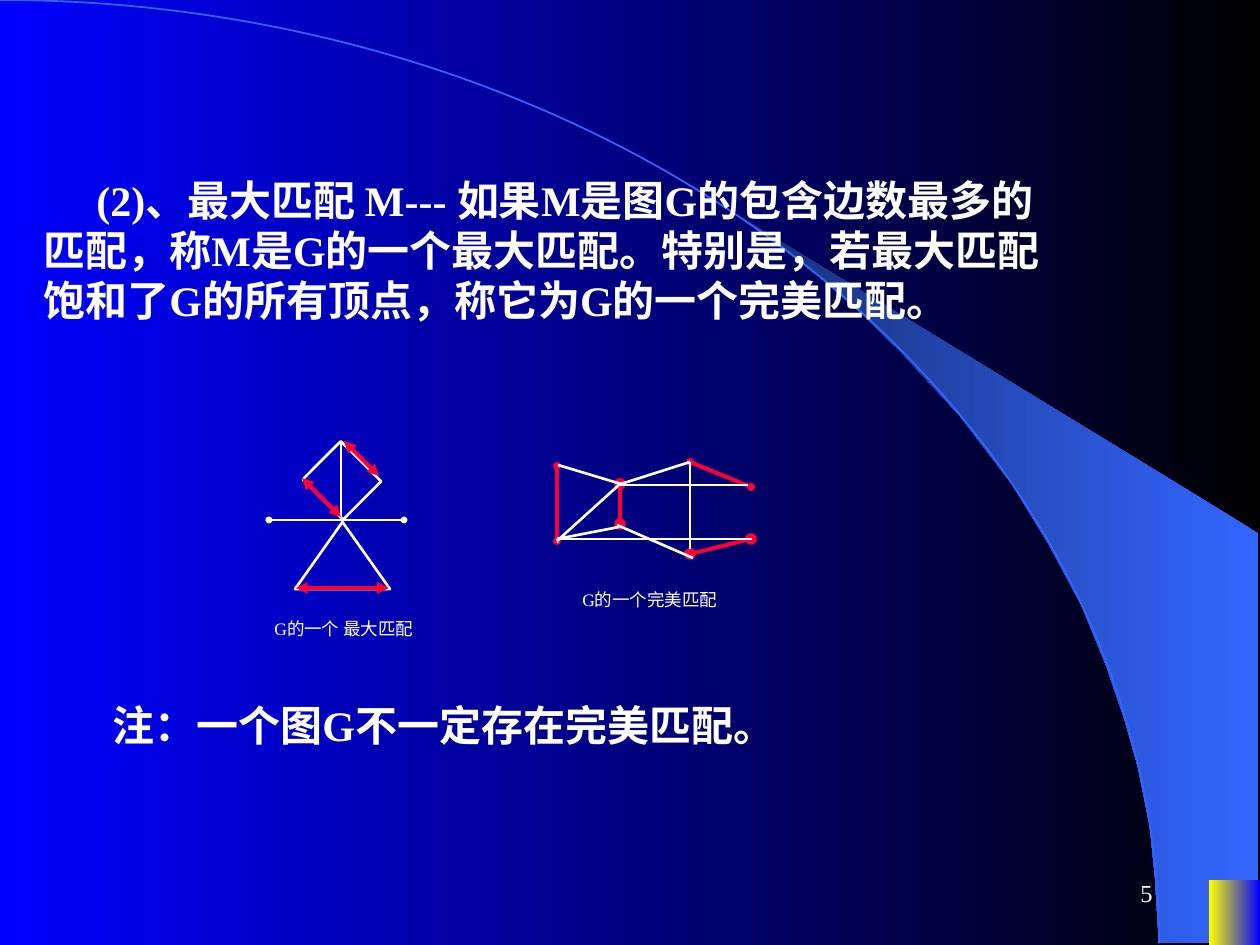
from dataclasses import dataclass

from lxml.etree import SubElement
from pptx import Presentation
from pptx.dml.color import RGBColor
from pptx.enum.shapes import MSO_CONNECTOR, MSO_SHAPE as Shape
from pptx.enum.text import MSO_ANCHOR as Anchor, MSO_AUTO_SIZE as AutoSize, PP_ALIGN as Align
from pptx.oxml.ns import qn
from pptx.util import Pt

PX = 914400 / 126


@dataclass(frozen=True)
class Theme:
    font: str = "Times New Roman"
    white: str = "FFFFFF"
    red: str = "FF0033"
    arc: str = "3366FF"
    backdrop: tuple = ("000000", "0000FF")
    wedge: tuple = ("3366FF", "172F75")
    corner: tuple = ("0000FF", "FFFF00")
    body: int = 24
    number: int = 14
    caption: int = 10


theme = Theme()


def emu(*pixels):
    return [round(value * PX) for value in pixels]


def paint(fill, colors):
    fill.gradient()
    fill.gradient_angle = 180
    for stop, color in zip(fill.gradient_stops, colors):
        stop.color.rgb = RGBColor.from_string(color)


deck = Presentation()
deck.slide_width, deck.slide_height = emu(1260, 945)
slide = deck.slides.add_slide(deck.slide_layouts[6])
paint(slide.background.fill, theme.backdrop)

# Backdrop: wedge, arc and corner block
wedge_points = [
    (1159, 943), (1258, 943), (1258, 533), (742, 218), (786, 251), (823, 280),
    (863, 315), (902, 353), (960, 416), (1012, 484), (1048, 543), (1081, 604),
    (1106, 665), (1125, 721), (1138, 767), (1150, 827), (1155, 877),
]
outline = slide.shapes.build_freeform(*wedge_points[0], scale=PX)
outline.add_line_segments(wedge_points[1:], close=True)
wedge = outline.convert_to_shape()
arc = slide.shapes.add_shape(Shape.ARC, *emu(-1159, 0, 2318, 1887))
arc.fill.background()
arc.line.color.rgb = RGBColor.from_string(theme.arc)
arc.line.width = Pt(1)
corner = slide.shapes.add_shape(Shape.RECTANGLE, *emu(1209, 880, 51, 65))
for block, colors in ((wedge, theme.wedge), (corner, theme.corner)):
    paint(block.fill, colors)
    block.line.fill.background()
for block in (wedge, arc, corner):
    block.shadow.inherit = False

# Graphs: outlined shapes and edges, each edge as (style, x1, y1, x2, y2)
edge_styles = {
    "plain": (theme.white, 1.5, {}),
    "thin": (theme.white, 0.75, {}),
    "dotted": (theme.white, 1.5, {"type": "oval", "w": "sm", "len": "sm"}),
    "arrow": (theme.red, 2.25, {"type": "triangle"}),
    "match": (theme.red, 2.25, {"type": "oval"}),
    "small match": (theme.red, 2.25, {"type": "oval", "w": "sm", "len": "sm"}),
}
maximum_matching = [
    ("dotted", 269, 520, 404, 520), ("plain", 341, 442, 341, 518),
    ("arrow", 296, 588, 389, 588), ("arrow", 302, 478, 341, 517),
    ("arrow", 379, 476, 344, 441),
]
perfect_matching = [
    ("small match", 557, 466, 557, 541), ("match", 620, 484, 620, 524),
    ("plain", 558, 465, 621, 484), ("plain", 619, 527, 557, 539),
    ("small match", 690, 462, 751, 487), ("match", 690, 554, 751, 539),
    ("plain", 690, 462, 690, 549), ("plain", 690, 462, 621, 484),
    ("plain", 617, 525, 693, 558), ("plain", 620, 485, 748, 485),
    ("thin", 557, 539, 558, 543), ("plain", 557, 539, 752, 539),
    ("plain", 620, 484, 557, 541),
]
maximum_shapes = [
    (Shape.RECTANGLE, (315, 452, 54, 57), 314.9),
    (Shape.ISOSCELES_TRIANGLE, (295, 522, 95, 67), 0),
]
graphs = []
for faces, edges in ((maximum_shapes, maximum_matching), ([], perfect_matching)):
    graph = slide.shapes.add_group_shape()
    graphs.append(graph)
    for kind, box, rotation in faces:
        face = graph.shapes.add_shape(kind, *emu(*box))
        face.rotation = rotation
        face.fill.background()
        face.line.color.rgb = RGBColor.from_string(theme.white)
        face.line.width = Pt(1.5)
        face.shadow.inherit = False
    for style, *ends in edges:
        color, width, tip = edge_styles[style]
        edge = graph.shapes.add_connector(MSO_CONNECTOR.STRAIGHT, *emu(*ends))
        edge.line.color.rgb = RGBColor.from_string(color)
        edge.line.width = Pt(width)
        if tip:
            for end in ("a:headEnd", "a:tailEnd"):
                SubElement(edge.line._get_or_add_ln(), qn(end), tip)
        SubElement(edge._element.spPr, qn("a:effectLst"))

# Text: definition, captions, remark and page number
body_frame = {"auto_size": AutoSize.SHAPE_TO_FIT_TEXT}
body_paragraph = {"space_before": Pt(15)}
body_font = {"size": Pt(theme.body), "bold": True}
caption_font = {"size": Pt(theme.caption)}
justified = {"alignment": Align.JUSTIFY}
definition = (
    "(2)、最大匹配 M--- 如果M是图G的包含边数最多的匹配，称M是G的一个最大匹配。"
    "特别是，若最大匹配饱和了G的所有顶点，称它为G的一个完美匹配。"
)
texts = [
    (slide, definition, (31, 168, 1040, 214), 53, body_frame, body_paragraph, body_font),
    (graphs[0], "G的一个 最大匹配", (262, 612, 180, 35), 0, {}, justified, caption_font),
    (graphs[1], "G的一个完美匹配", (570, 583, 188, 45), 0, {}, justified, caption_font),
    (slide, "注：一个图G不一定存在完美匹配。", (52, 693, 1040, 63), 48,
     body_frame, body_paragraph, body_font),
    (slide, "5", (903, 861, 262, 63), 0, {"vertical_anchor": Anchor.MIDDLE},
     {"alignment": Align.RIGHT}, {"size": Pt(theme.number)}),
]
for parent, wording, box, indent, frame_format, paragraph_format, font_format in texts:
    frame = parent.shapes.add_textbox(*emu(*box)).text_frame
    paragraph = frame.paragraphs[0]
    run = paragraph.add_run()
    run.text = wording
    run.font.color.rgb = RGBColor.from_string(theme.white)
    if indent:
        paragraph._p.get_or_add_pPr().set("indent", str(emu(indent)[0]))
    for target, values in (
        (frame, {"word_wrap": True, **frame_format}),
        (paragraph, paragraph_format),
        (run.font, {"name": theme.font, **font_format}),
    ):
        for attribute, value in values.items():
            setattr(target, attribute, value)

deck.save("out.pptx")
